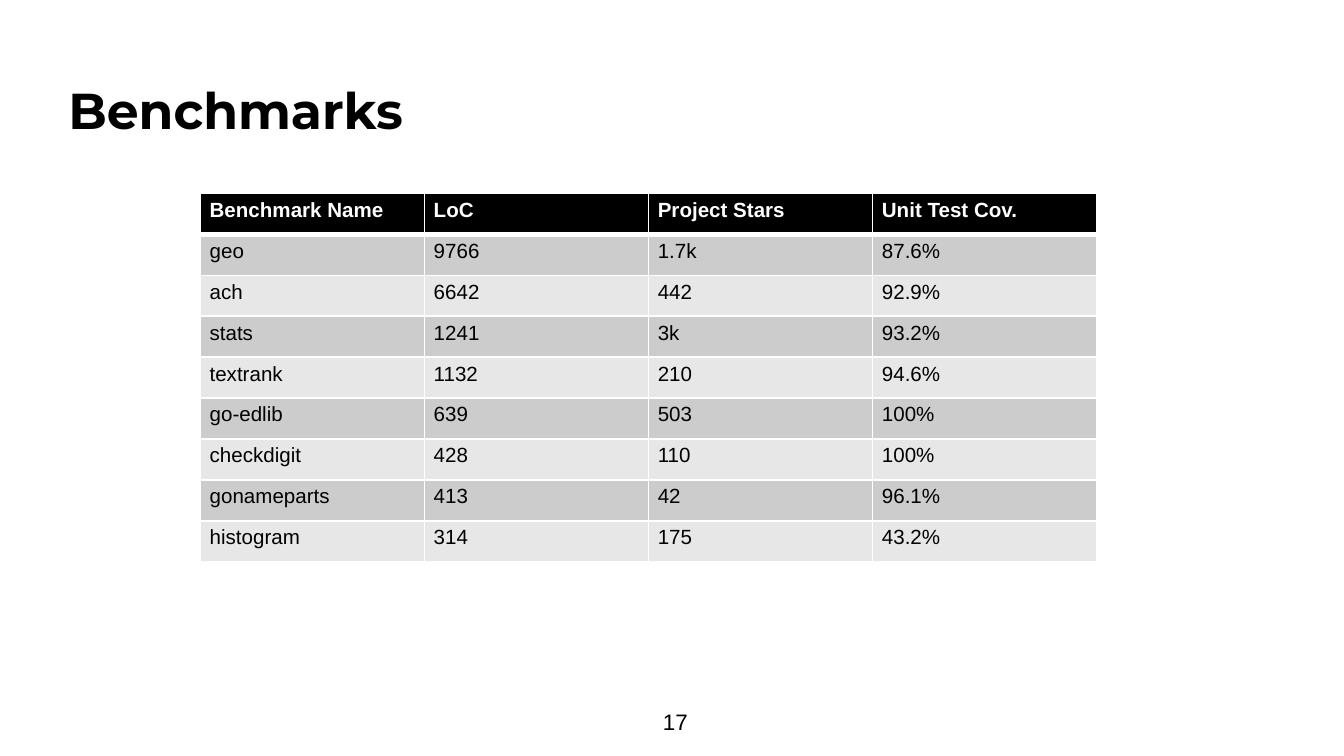
from dataclasses import dataclass

from lxml.etree import SubElement
from pptx import Presentation
from pptx.dml.color import RGBColor as Color
from pptx.enum.text import MSO_ANCHOR as Anchor, PP_ALIGN as Align
from pptx.oxml.ns import qn
from pptx.util import Inches, Pt


@dataclass(frozen=True)
class Theme:
    heading_font: str = "Montserrat"
    body_font: str = "Arial"
    title_size: int = 27
    number_size: int = 12
    table_size: int = 11
    ink: str = "000000"
    paper: str = "FFFFFF"
    bands: tuple = ("CCCCCC", "E7E7E7")
    thin_rule: int = 1
    header_rule: int = 3


BENCHMARKS = [
    ("Benchmark Name", "LoC", "Project Stars", "Unit Test Cov."),
    ("geo", "9766", "1.7k", "87.6%"),
    ("ach", "6642", "442", "92.9%"),
    ("stats", "1241", "3k", "93.2%"),
    ("textrank", "1132", "210", "94.6%"),
    ("go-edlib", "639", "503", "100%"),
    ("checkdigit", "428", "110", "100%"),
    ("gonameparts", "413", "42", "96.1%"),
    ("histogram", "314", "175", "43.2%"),
]


class SlideBuilder:
    def __init__(self, page, theme):
        self.page = page
        self.theme = theme

    def style(self, para, font, size, color, bold=False):
        para.font.name = font
        para.font.size = Pt(size)
        para.font.bold = bold
        para.font.color.rgb = Color.from_string(color)

    def text(self, words, left, top, width, height, font, size,
             bold=False, align=Align.LEFT, spacing=1.0):
        box = self.page.shapes.add_textbox(
            Inches(left), Inches(top), Inches(width), Inches(height))
        frame = box.text_frame
        frame.word_wrap = True
        frame.vertical_anchor = Anchor.MIDDLE
        para = frame.paragraphs[0]
        para.text = words
        para.alignment = align
        para.line_spacing = spacing
        self.style(para, font, size, self.theme.ink, bold)

    def borders(self, cell, top, bottom):
        thin = self.theme.thin_rule
        properties = cell._tc.get_or_add_tcPr()
        sides = (("L", thin), ("R", thin), ("T", top), ("B", bottom))
        # Border lines must come before the cell fill
        for place, (side, weight) in enumerate(sides):
            line = SubElement(properties, qn(f"a:ln{side}"), w=str(Pt(weight)))
            fill = SubElement(line, qn("a:solidFill"))
            SubElement(fill, qn("a:srgbClr"), val=self.theme.paper)
            properties.insert(place, line)

    def table(self, rows, left, top, width, height):
        theme = self.theme
        table = self.page.shapes.add_table(
            len(rows), len(rows[0]), Inches(left), Inches(top),
            Inches(width), Inches(height)).table
        for r, row in enumerate(rows):
            header = r == 0
            fill = theme.ink if header else theme.bands[(r - 1) % 2]
            above = theme.header_rule if r == 1 else theme.thin_rule
            below = theme.header_rule if header else theme.thin_rule
            for c, words in enumerate(row):
                cell = table.cell(r, c)
                cell.margin_left = cell.margin_right = Inches(0.07)
                cell.margin_top = cell.margin_bottom = Inches(0.04)
                cell.fill.solid()
                cell.fill.fore_color.rgb = Color.from_string(fill)
                para = cell.text_frame.paragraphs[0]
                para.text = words
                self.style(para, theme.body_font, theme.table_size,
                           theme.paper if header else theme.ink, header)
                self.borders(cell, above, below)


def main():
    deck = Presentation()
    # Widescreen page, 16:9
    deck.slide_width = Inches(10)
    deck.slide_height = deck.slide_width * 9 // 16
    theme = Theme()
    builder = SlideBuilder(deck.slides.add_slide(deck.slide_layouts[6]), theme)

    # Title
    builder.text("Benchmarks", 0.41, 0.3, 9.19, 1.09, theme.heading_font,
                 theme.title_size, bold=True, spacing=0.9)

    # Benchmark table
    builder.table(BENCHMARKS, 1.49, 1.44, 6.67, 2.74)

    # Page number
    builder.text("17", 4.73, 5.22, 0.59, 0.3, theme.body_font,
                 theme.number_size, align=Align.CENTER)

    deck.save("out.pptx")


if __name__ == "__main__":
    main()
